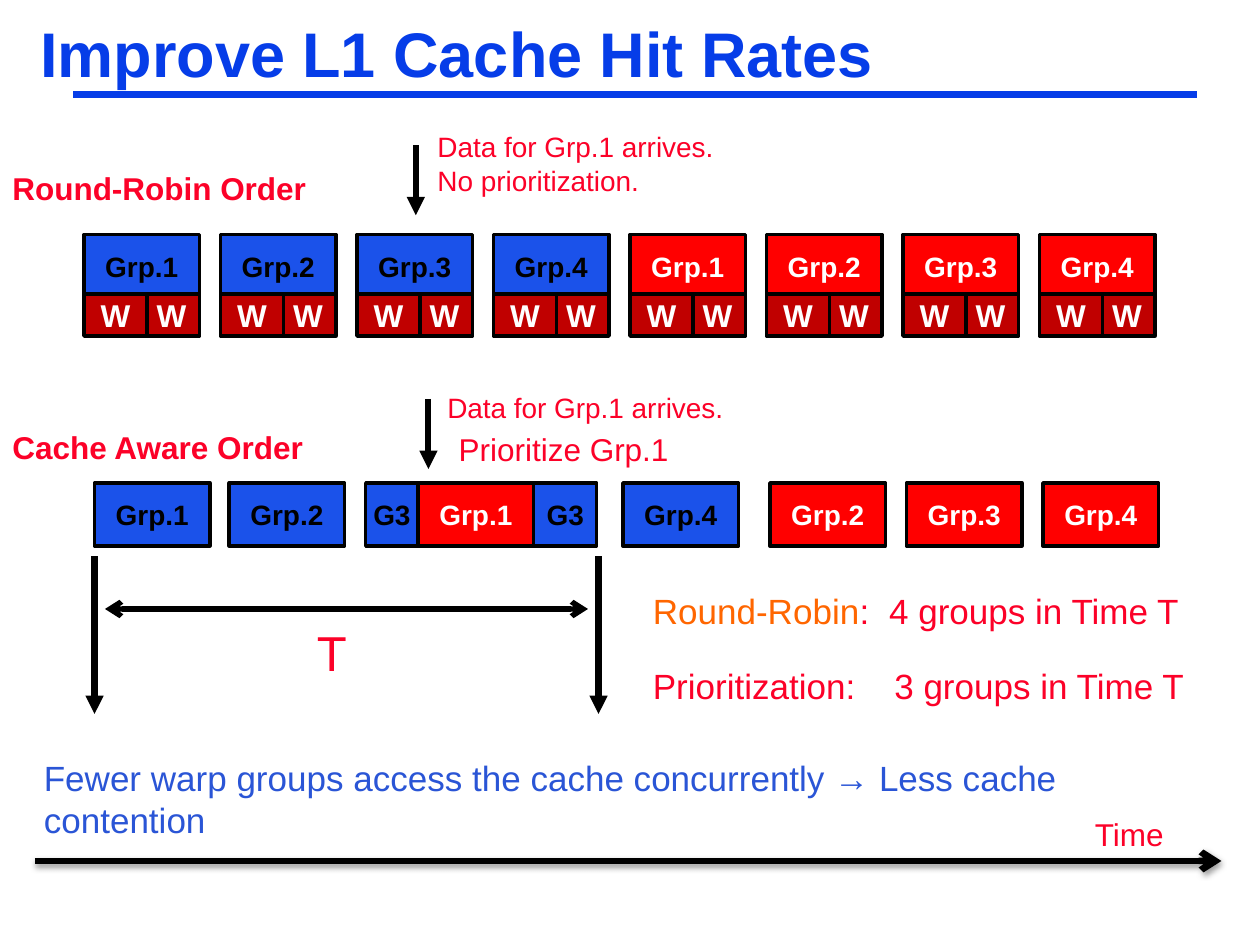
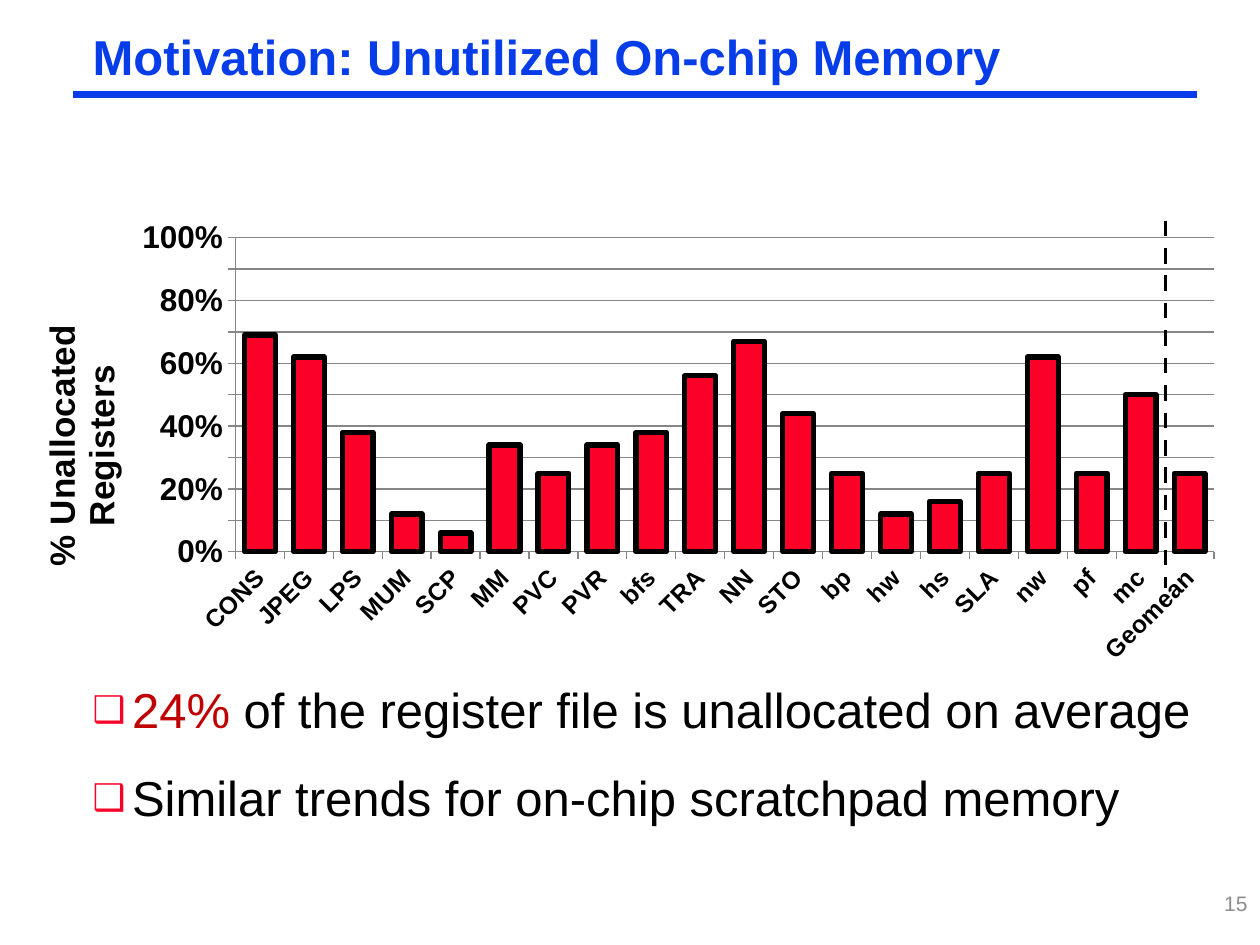
from dataclasses import dataclass

from lxml import etree
from pptx import Presentation
from pptx.chart.data import CategoryChartData
from pptx.dml.color import RGBColor
from pptx.enum.chart import XL_CHART_TYPE, XL_TICK_MARK
from pptx.enum.dml import MSO_LINE
from pptx.enum.shapes import MSO_CONNECTOR, MSO_SHAPE
from pptx.enum.text import MSO_ANCHOR, MSO_AUTO_SIZE, PP_ALIGN
from pptx.oxml import parse_xml
from pptx.oxml.ns import nsdecls, qn
from pptx.util import Pt

STRAIGHT = MSO_CONNECTOR.STRAIGHT
RECT = MSO_SHAPE.RECTANGLE
COLUMNS = XL_CHART_TYPE.COLUMN_CLUSTERED
TICK_OUT = XL_TICK_MARK.OUTSIDE
DASH = MSO_LINE.DASH
LEFT, CENTER, RIGHT = PP_ALIGN.LEFT, PP_ALIGN.CENTER, PP_ALIGN.RIGHT
TOP, MIDDLE = MSO_ANCHOR.TOP, MSO_ANCHOR.MIDDLE
NO_FIT = MSO_AUTO_SIZE.NONE

FONT = "Arial"
TITLE_BLUE, BLUE, NOTE_BLUE = "063DE8", "1B52EA", "2A55D6"
CRIMSON, RED, DARK_RED, ORANGE = "FC0128", "FF0000", "C00000", "FF6600"
BLACK, WHITE, GRAY, AXIS_GRAY = "000000", "FFFFFF", "8C8C8C", "868686"
GROUP_W = 66

REGISTERS = {
    "CONS": 0.69, "JPEG": 0.62, "LPS": 0.38, "MUM": 0.12, "SCP": 0.06,
    "MM": 0.34, "PVC": 0.25, "PVR": 0.34, "bfs": 0.38, "TRA": 0.56,
    "NN": 0.67, "STO": 0.44, "bp": 0.25, "hw": 0.12, "hs": 0.16,
    "SLA": 0.25, "nw": 0.62, "pf": 0.25, "mc": 0.5, "Geomean": 0.25,
}


@dataclass
class Block:
    text: str
    x: float
    fill: str
    w: float = GROUP_W


@dataclass
class Label:
    text: str
    x: float
    y: float
    w: float
    h: float
    size: float = 18
    color: str = CRIMSON
    bold: bool = False
    inset: bool = True


@dataclass
class Line:
    x1: float
    y1: float
    x2: float
    y2: float
    width: float = 3.5
    color: str = BLACK
    head: str = ""
    tail: str = ""
    dashed: bool = False
    shadow: bool = False


CACHE_AWARE = [
    Block("Grp.1", 54, BLUE), Block("Grp.2", 131, BLUE),
    Block("G3", 209, BLUE, 30), Block("Grp.1", 239, RED), Block("G3", 305, BLUE, 36),
    Block("Grp.4", 356, BLUE),
    Block("Grp.2", 440, RED), Block("Grp.3", 518, RED), Block("Grp.4", 596, RED),
]

LABELS = [
    Label("Data for Grp.1 arrives.\nNo prioritization.", 250, 74, 206, 39, 16, inset=False),
    Label("Data for Grp.1 arrives.", 255.6, 223, 246, 20, 16, inset=False),
    Label("Prioritize Grp.1", 255, 242, 141, 29),
    Label("Round-Robin Order", 0, 93, 184, 51, bold=True),
    Label("Cache Aware Order", 0, 241, 182, 29, bold=True),
    Label("T", 174, 352, 84, 41, 28),
    Label("Fewer warp groups access the cache concurrently → Less cache contention",
          18, 429, 690, 32, 20, NOTE_BLUE),
    Label("Time", 618.5, 462, 90, 29),
]

ARROWS = [
    Line(237.6, 83, 237.6, 123, tail="triangle"),
    Line(244.8, 228, 244.8, 268, tail="triangle"),
    Line(54, 318, 54, 408, tail="triangle"),
    Line(342, 318, 342, 408, tail="triangle"),
    Line(60, 348, 336, 348, 3, head="arrow", tail="arrow"),
    Line(20, 492, 698, 492, 3.75, tail="arrow", shadow=True),
]


def rgb(value: str) -> RGBColor:
    return RGBColor.from_string(value)


def style(font, size: float, color: str = BLACK, bold: bool = False) -> None:
    font.name, font.size, font.bold = FONT, Pt(size), bold
    font.color.rgb = rgb(color)


def write(p, text: str, *, size: float, color: str = BLACK, bold: bool = False,
          align=LEFT) -> None:
    p.alignment = align
    r = p.add_run()
    r.text = text
    style(r.font, size, color, bold)


def frame(tf, anchor=TOP, mx: float = 7.2, my: float = 3.6):
    tf.word_wrap, tf.auto_size, tf.vertical_anchor = True, NO_FIT, anchor
    tf.margin_left = tf.margin_right = Pt(mx)
    tf.margin_top = tf.margin_bottom = Pt(my)
    return tf


def place(sp, x: float, y: float, w: float, h: float) -> None:
    sp.left, sp.top, sp.width, sp.height = Pt(x), Pt(y), Pt(w), Pt(h)


def text_box(s, x: float, y: float, w: float, h: float, **margins):
    return frame(s.shapes.add_textbox(Pt(x), Pt(y), Pt(w), Pt(h)).text_frame, **margins)


def add_label(s, label: Label) -> None:
    margins = {} if label.inset else {"mx": 0, "my": 0}
    tf = text_box(s, label.x, label.y, label.w, label.h, **margins)
    for i, text in enumerate(label.text.split("\n")):
        p = tf.add_paragraph() if i else tf.paragraphs[0]
        write(p, text, size=label.size, color=label.color, bold=label.bold)


def add_block(s, block: Block, y: float, h: float = 36, size: float = 16) -> None:
    sp = s.shapes.add_shape(RECT, Pt(block.x), Pt(y), Pt(block.w), Pt(h))
    sp.shadow.inherit = False
    sp.fill.solid()
    sp.fill.fore_color.rgb = rgb(block.fill)
    sp.line.color.rgb = rgb(BLACK)
    sp.line.width = Pt(2)
    tf = frame(sp.text_frame, MIDDLE, mx=0)
    color = BLACK if block.fill == BLUE else WHITE
    write(tf.paragraphs[0], block.text, size=size, color=color, bold=True, align=CENTER)


def add_line(s, line: Line):
    c = s.shapes.add_connector(STRAIGHT, Pt(line.x1), Pt(line.y1), Pt(line.x2), Pt(line.y2))
    c.line.color.rgb = rgb(line.color)
    c.line.width = Pt(line.width)
    if line.dashed:
        c.line.dash_style = DASH
    ln = c.line._get_or_add_ln()
    for tag, kind in (("a:headEnd", line.head), ("a:tailEnd", line.tail)):
        if kind:
            etree.SubElement(ln, qn(tag), type=kind)
    effects = etree.SubElement(c.element.spPr, qn("a:effectLst"))
    if line.shadow:
        effects.append(parse_xml(
            f'<a:outerShdw {nsdecls("a")} blurRad="{Pt(3.1)}" dist="{Pt(1.6)}" dir="5400000">'
            f'<a:srgbClr val="{BLACK}"><a:alpha val="38000"/></a:srgbClr></a:outerShdw>'))
    return c


def add_title(s, text: str, size: float, x: float, y: float, w: float, h: float) -> None:
    sp = s.shapes.title
    place(sp, x, y, w, h)
    p = frame(sp.text_frame, mx=5, my=2).paragraphs[0]
    p.line_spacing = 0.87
    write(p, text, size=size, color=TITLE_BLUE, bold=True)


def add_result(s, y: float, name: str, color: str, result: str, tab: float) -> None:
    p = text_box(s, 366, y, 343, 32).paragraphs[0]
    write(p, name, size=20, color=color)
    write(p, f":\t{result}", size=20, color=CRIMSON)
    tabs = etree.SubElement(p._p.get_or_add_pPr(), qn("a:tabLst"))
    etree.SubElement(tabs, qn("a:tab"), pos=str(Pt(tab)), algn="l")


def add_bullet(p, *runs: tuple[str, str]) -> None:
    p.line_spacing, p.space_before = 0.9, Pt(20)
    for text, color in runs:
        write(p, text, size=28, color=color)
    pPr = p._p.get_or_add_pPr()
    pPr.set("marL", str(Pt(22.5)))
    pPr.set("indent", str(-Pt(22.5)))
    etree.SubElement(etree.SubElement(pPr, qn("a:buClr")), qn("a:srgbClr"), val=CRIMSON)
    etree.SubElement(pPr, qn("a:buSzPct"), val="75000")
    etree.SubElement(pPr, qn("a:buFont"), typeface=FONT)
    etree.SubElement(pPr, qn("a:buChar"), char="❑")


def set_layout(parent, index: int, target: str = "", **fractions: float) -> None:
    for old in parent.findall(qn("c:layout")):
        parent.remove(old)
    layout = etree.Element(qn("c:layout"))
    manual = etree.SubElement(layout, qn("c:manualLayout"))
    if target:
        etree.SubElement(manual, qn("c:layoutTarget"), val=target)
    for mode in ("c:xMode", "c:yMode"):
        etree.SubElement(manual, qn(mode), val="edge")
    for name, value in fractions.items():
        etree.SubElement(manual, qn(f"c:{name}"), val=str(value))
    parent.insert(index, layout)


def add_register_chart(s) -> None:
    data = CategoryChartData(number_format="0%")
    data.categories = list(REGISTERS)
    data.add_series("Series 1", list(REGISTERS.values()))
    chart = s.shapes.add_chart(COLUMNS, Pt(0), Pt(120), Pt(708), Pt(264), data).chart
    chart.has_legend = chart.has_title = False
    style(chart.font, 10)

    plot = chart.plots[0]
    plot.gap_width, plot.overlap, plot.vary_by_categories = 59, 48, False
    bars = plot.series[0].format
    bars.fill.solid()
    bars.fill.fore_color.rgb = rgb(CRIMSON)
    bars.line.color.rgb = rgb(BLACK)
    bars.line.width = Pt(3)

    cat, val = chart.category_axis, chart.value_axis
    for axis, size in ((cat, 14), (val, 18)):
        style(axis.tick_labels.font, size, bold=True)
        axis.major_tick_mark = TICK_OUT
        axis.format.line.color.rgb = rgb(AXIS_GRAY)
    val.minimum_scale, val.maximum_scale, val.major_unit = 0, 1, 0.1
    val.tick_labels.number_format = "0%"
    val.tick_labels.number_format_is_linked = False
    val.major_gridlines.format.line.color.rgb = rgb(AXIS_GRAY)

    tf = val.axis_title.text_frame
    write(tf.paragraphs[0], "% Unallocated", size=20, bold=True, align=CENTER)
    write(tf.add_paragraph(), "Registers", size=20, bold=True, align=CENTER)

    area = chart.element.xpath("c:chart/c:plotArea")[0]
    area.xpath("c:catAx/c:txPr/a:bodyPr")[0].set("rot", "-2700000")
    set_layout(area.xpath("c:valAx/c:title")[0], 1, x=0.03, y=0.24)
    set_layout(area, 0, "inner", x=0.19, y=0.06, w=0.79, h=0.68)


def build_cache_slide(prs):
    s = prs.slides.add_slide(prs.slide_layouts[5])
    add_title(s, "Improve L1 Cache Hit Rates", 36, 18, 12, 684, 60)
    for i in range(8):
        x = 48 + 78 * i
        add_block(s, Block(f"Grp.{i % 4 + 1}", x, BLUE if i < 4 else RED), 134)
        add_block(s, Block("W", x + 34, DARK_RED, 32), 168, 24, 18)
        add_block(s, Block("W", x, DARK_RED, 36), 168, 24, 18)
    for block in CACHE_AWARE:
        add_block(s, block, 276)
    for arrow in ARROWS:
        add_line(s, arrow)
    for label in LABELS:
        add_label(s, label)
    add_result(s, 333.5, "Round-Robin", ORANGE, "4 groups in Time T", 135)
    add_result(s, 376, "Prioritization", CRIMSON, "3 groups in Time T", 138)
    return s


def build_motivation_slide(prs) -> None:
    s = prs.slides.add_slide(prs.slide_layouts[1])
    add_title(s, "Motivation: Unutilized On-chip Memory", 28, 48, 18, 672, 78)
    body = s.placeholders[1]
    place(body, 48, 390, 642, 96)
    tf = frame(body.text_frame, mx=5, my=2)
    add_bullet(tf.paragraphs[0], ("24% ", DARK_RED),
               ("of the register file is unallocated on average", BLACK))
    add_bullet(tf.add_paragraph(), ("Similar trends for on-chip scratchpad memory", BLACK))
    add_register_chart(s)
    add_line(s, Line(666, 126, 666, 336, 2.25, dashed=True))
    p = text_box(s, 672, 492, 48, 48, anchor=MIDDLE).paragraphs[0]
    write(p, "15", size=12, color=GRAY, align=RIGHT)


def main() -> None:
    prs = Presentation()
    prs.slide_width, prs.slide_height = Pt(720), Pt(540)
    s = build_cache_slide(prs)
    title_rule = add_line(s, Line(42, 54, 684, 54, 4.5, TITLE_BLUE))
    prs.slide_master.shapes.element.append(title_rule.element)
    build_motivation_slide(prs)
    prs.save("out.pptx")


if __name__ == "__main__":
    main()
